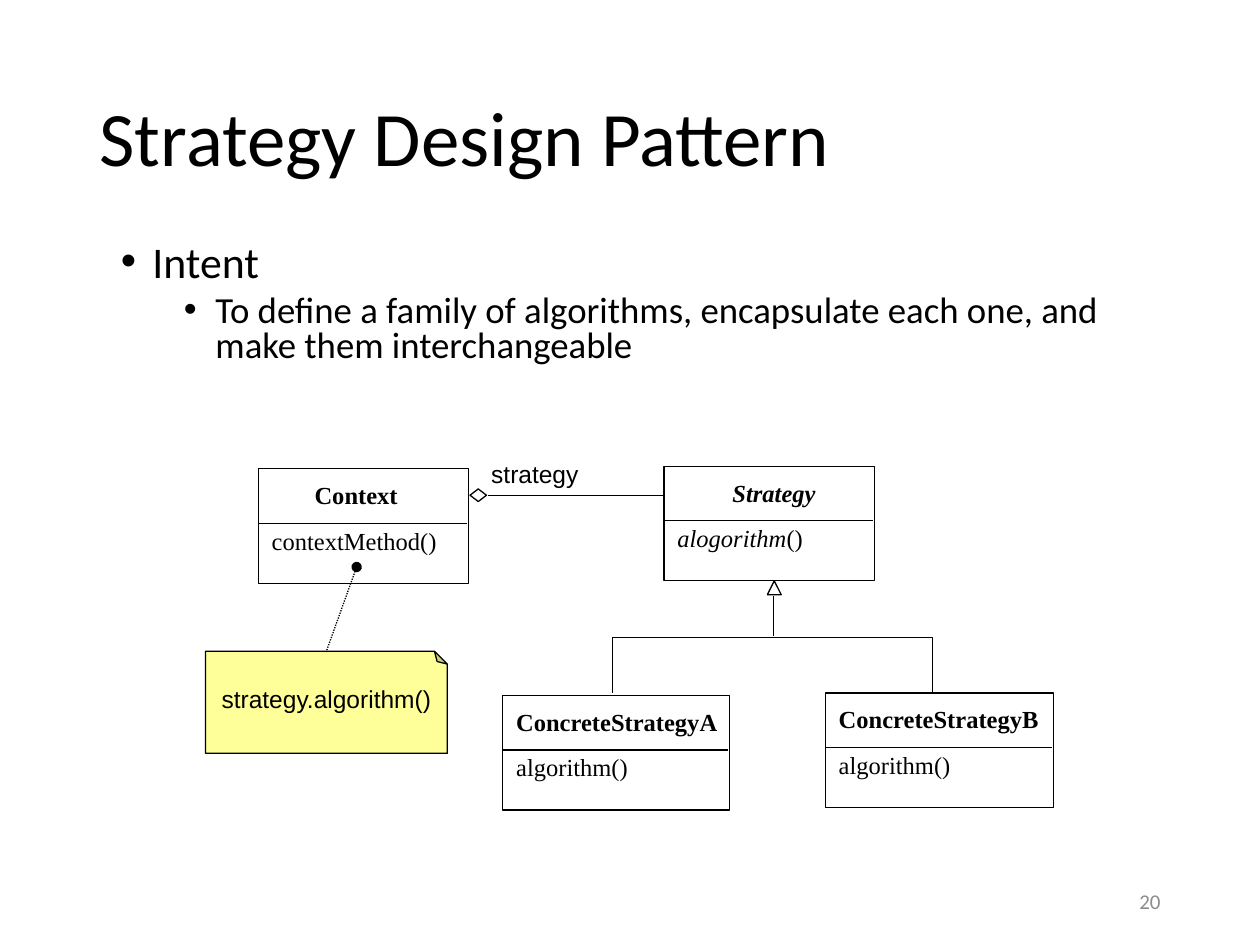
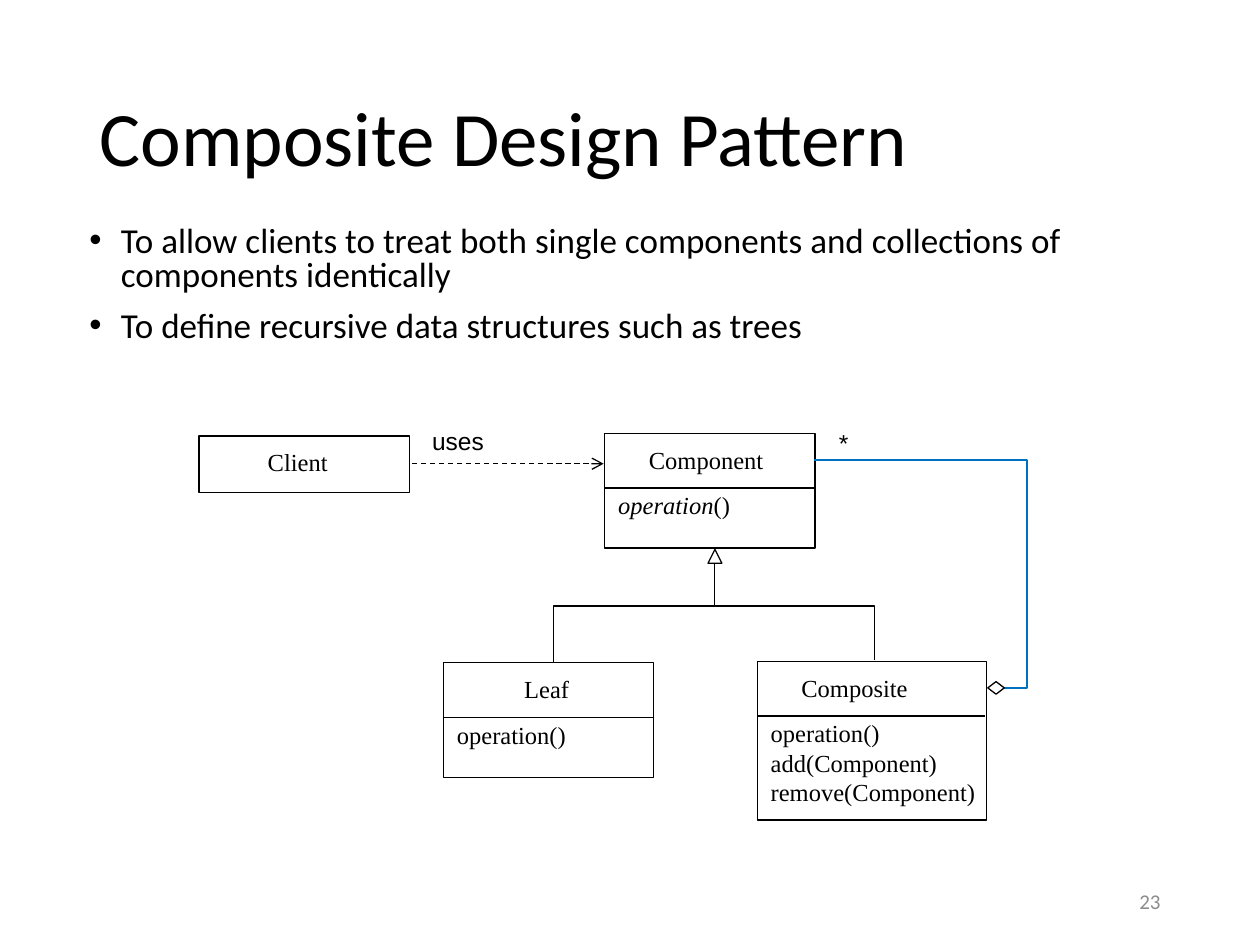
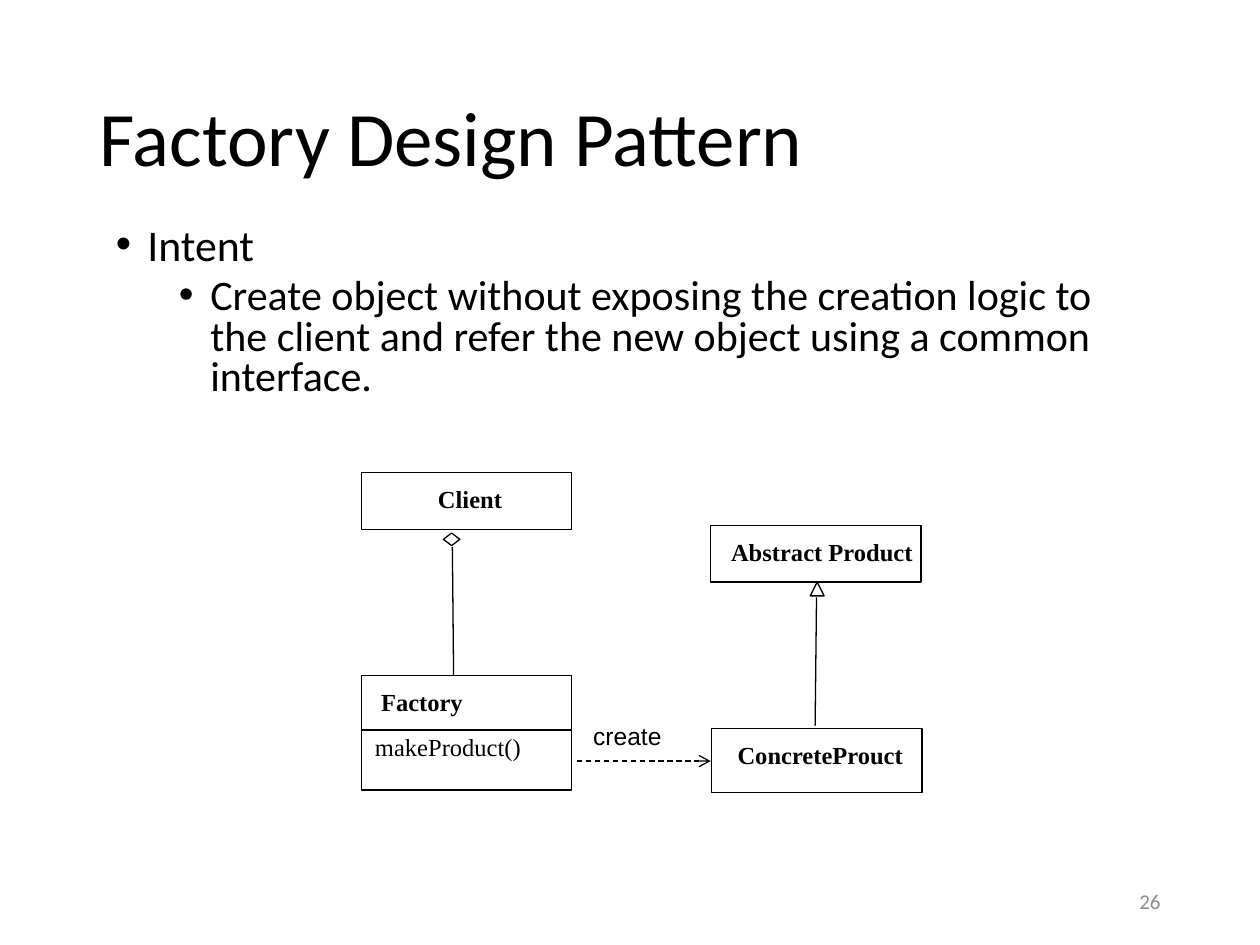
from lxml import etree
from pptx import Presentation
from pptx.dml.color import RGBColor
from pptx.enum.dml import MSO_LINE
from pptx.enum.shapes import MSO_CONNECTOR, MSO_SHAPE
from pptx.enum.text import MSO_ANCHOR, MSO_AUTO_SIZE, PP_ALIGN
from pptx.oxml.ns import qn
from pptx.util import Pt

STRAIGHT = MSO_CONNECTOR.STRAIGHT
RECTANGLE, NOTE = MSO_SHAPE.RECTANGLE, MSO_SHAPE.FOLDED_CORNER
MARKERS = {
    "diamond": (MSO_SHAPE.DIAMOND, 9.4, 7.2),
    "triangle": (MSO_SHAPE.ISOSCELES_TRIANGLE, 7.9, 7.9),
}
DASHES = {"dash": MSO_LINE.DASH, "dot": MSO_LINE.ROUND_DOT}
LEFT, RIGHT = PP_ALIGN.LEFT, PP_ALIGN.RIGHT
TOP, MIDDLE = MSO_ANCHOR.TOP, MSO_ANCHOR.MIDDLE

COLORS = {"ink": "000000", "note": "FFFF99", "link": "0070C0", "number": "8C8C8C"}
HEADING_FONT, CLASS_FONT, LABEL_FONT = "Calibri", "Times New Roman", "Arial"
TITLE_BOX = (49.7, 28.8, 620.6, 104.4)
NUMBER_BOX = (508.3, 500.4, 162, 28.8)
CLASS_WIDTH, CLASS_HEIGHT, NAME_HEIGHT = 120.2, 65.5, 31.2

# Content. Bullets: (level, size, text).
# Classes: left, top, name, name indent, name style (b, i), methods, then options.
# Lines: points, then options. Markers: kind, left, top. Labels: left, top, text.
SLIDES = [
    {
        "title": "Strategy Design Pattern",
        "number": "20",
        "body_box": (61.9, 136.1, 573.1, 85),
        "bullets": [
            (0, 25, "Intent"),
            (1, 21, "To define a family of algorithms, encapsulate each one, "
                    "and make them interchangeable"),
        ],
        "classes": [
            (147.6, 267.8, "Context", 24.5, "b", ["contextMethod()"], {}),
            (379.4, 266.4, "Strategy", 31.5, "bi", ["alogorithm()"], {"abstract": True}),
            (287.3, 397.4, "ConcreteStrategyA", 0, "b", ["algorithm()"], {"width": 129.6}),
            (471.6, 396, "ConcreteStrategyB", 0, "b", ["algorithm()"], {"width": 130.3}),
        ],
        "notes": [(117.4, 372.2, 138.2, 58.3)],
        "lines": [
            ([(278.6, 283), (378.7, 283)], {}),
            ([(442.1, 340.6), (442.1, 363.6)], {}),
            ([(349.9, 396), (349.9, 364.3), (532.8, 364.3), (532.8, 395.3)], {}),
            ([(203.8, 324), (186.5, 372.2)], {"dash": "dot", "head": "oval"}),
        ],
        "markers": [("diamond", 268.6, 279.4), ("triangle", 438.5, 331.9)],
        "labels": [(273.6, 258.5, "strategy"), (119.5, 387.4, "strategy.algorithm()")],
    },
    {
        "title": "Composite Design Pattern",
        "number": "23",
        "body_box": (43.9, 126, 648, 77.8),
        "bullets": [
            (0, 20, "To allow clients to treat both single components and "
                    "collections of components identically"),
            (0, 20, "To define recursive data structures such as trees"),
        ],
        "classes": [
            (113.8, 249.1, "Client", 31.5, "", [], {"height": 32.4}),
            (345.6, 247.7, "Component", 17.5, "", ["operation()"], {"abstract": True}),
            (253.4, 378.7, "Leaf", 38.5, "", ["operation()"], {}),
            (432.7, 378, "Composite", 17.5, "",
             ["operation()", "add(Component)", "remove(Component)"],
             {"width": 131, "height": 90.7}),
        ],
        "notes": [],
        "lines": [
            ([(235.4, 265), (344.9, 265)], {"dash": "dash", "tail": "arrow"}),
            ([(408.2, 321.8), (408.2, 345.6)], {}),
            ([(316.1, 378.7), (316.1, 346.3), (499.7, 346.3), (499.7, 377.3)], {}),
            ([(573.8, 393.1), (586.8, 393.1), (586.8, 262.8), (465.1, 262.8)],
             {"ink": "link"}),
        ],
        "markers": [("diamond", 564.5, 389.5), ("triangle", 404.6, 313.9)],
        "labels": [(239.8, 239.8, "uses"), (472.3, 241.2, "*")],
    },
    {
        "title": "Factory Design Pattern",
        "number": "26",
        "body_box": (59, 126.7, 573.8, 118.8),
        "bullets": [
            (0, 25, "Intent"),
            (1, 24, "Create object without exposing the creation logic to the client "
                    "and refer the new object using a common interface."),
        ],
        "classes": [
            (406.1, 300.2, "Abstract Product", 4, "b", [], {"height": 32.4}),
            (206.6, 385.9, "Factory", 3.5, "b", ["makeProduct()"], {}),
            (406.8, 416.2, "ConcreteProuct", 7, "b", [], {"height": 36.7}),
            (206.6, 270, "Client", 36, "b", [], {"height": 32.4}),
        ],
        "notes": [],
        "lines": [
            ([(329.8, 434.9), (406.1, 434.9)], {"dash": "dash", "tail": "arrow"}),
            ([(466.6, 341.3), (465.8, 414.7)], {}),
            ([(258.5, 312.5), (259.2, 385.9)], {}),
        ],
        "markers": [("triangle", 463, 332.6), ("diamond", 253.4, 304.6)],
        "labels": [(331.9, 408.2, "create")],
    },
]


def color(name):
    return RGBColor.from_string(COLORS[name])


def format_runs(paragraph, font, size, bold=False, italic=False, ink="ink"):
    for run in paragraph.runs:
        run.font.name, run.font.size = font, Pt(size)
        run.font.bold, run.font.italic = bold, italic
        run.font.color.rgb = color(ink)


def set_indent(paragraph, margin, first=0):
    properties = paragraph._p.get_or_add_pPr()
    properties.set("marL", str(Pt(margin)))
    properties.set("indent", str(Pt(first)))
    return properties


def place(shape, box):
    shape.left, shape.top, shape.width, shape.height = map(Pt, box)


def prepare_frame(shape, anchor):
    frame = shape.text_frame
    frame.word_wrap = True
    frame.auto_size = MSO_AUTO_SIZE.NONE
    frame.vertical_anchor = anchor
    return frame


def add_text_box(slide, box, anchor=TOP):
    return prepare_frame(slide.shapes.add_textbox(*map(Pt, box)), anchor)


def outline(shape, ink="ink"):
    shape.line.color.rgb = color(ink)
    shape.line.width = Pt(0.75)


def add_outlined_shape(slide, kind, box, fill=None):
    shape = slide.shapes.add_shape(kind, *map(Pt, box))
    shape.shadow.inherit = False
    if fill:
        shape.fill.solid()
        shape.fill.fore_color.rgb = color(fill)
    else:
        shape.fill.background()
    outline(shape)
    return shape


def add_line(slide, points, ink="ink", dash=None, head=None, tail=None):
    """Two points make a connector, more points an open outline."""
    points = [(Pt(x), Pt(y)) for x, y in points]
    if len(points) == 2:
        line = slide.shapes.add_connector(STRAIGHT, *points[0], *points[1])
        etree.SubElement(line._element.spPr, qn("a:effectLst"))
    else:
        builder = slide.shapes.build_freeform(*points[0])
        builder.add_line_segments(points[1:], close=False)
        line = builder.convert_to_shape()
        line.fill.background()
        line.shadow.inherit = False
    outline(line, ink)
    if dash:
        line.line.dash_style = DASHES[dash]
    for tag, end in (("a:headEnd", head), ("a:tailEnd", tail)):
        if end:
            etree.SubElement(line.get_or_add_ln(), qn(tag)).set("type", end)


def add_class(slide, left, top, name, indent, style, methods,
              width=CLASS_WIDTH, height=CLASS_HEIGHT, abstract=False):
    add_outlined_shape(slide, RECTANGLE, (left, top, width, height))
    frame = add_text_box(slide, (left + 0.6, top + 3, width, height - 3))
    frame.margin_right = 0
    heading = frame.paragraphs[0]
    heading.text = name
    set_indent(heading, indent)
    format_runs(heading, CLASS_FONT, 14, "b" in style, "i" in style)
    if methods:
        divider = top + NAME_HEIGHT
        add_line(slide, [(left, divider), (left + width - 0.7, divider)])
    for index, method in enumerate(methods):
        paragraph = frame.add_paragraph()
        paragraph.space_before = Pt(0 if index else 9.2)
        paragraph.text = method.removesuffix("()") if abstract else method
        if abstract:
            paragraph.add_run().text = "()"
        format_runs(paragraph, CLASS_FONT, 14)
        paragraph.runs[0].font.italic = abstract


def add_note(slide, box):
    note = add_outlined_shape(slide, NOTE, box, "note")
    properties = note._element.spPr
    properties.find(qn("a:xfrm")).set("flipV", "1")
    # Fold size: an eighth of the shorter side
    adjustments = properties.find(qn("a:prstGeom")).get_or_add_avLst()
    for guide in list(adjustments):
        adjustments.remove(guide)
    guide = etree.SubElement(adjustments, qn("a:gd"))
    guide.set("name", "adj")
    guide.set("fmla", "val 12500")


def add_label(slide, left, top, text):
    frame = add_text_box(slide, (left, top, 140, 24))
    frame.text = text
    format_runs(frame.paragraphs[0], LABEL_FONT, 14)


def fill_title(slide, text):
    title = slide.shapes.title
    place(title, TITLE_BOX)
    frame = prepare_frame(title, MIDDLE)
    frame.text = text
    paragraph = frame.paragraphs[0]
    paragraph.alignment, paragraph.line_spacing = LEFT, 0.9
    format_runs(paragraph, HEADING_FONT, 44)


def fill_body(slide, box, bullets):
    body = slide.placeholders[1]
    place(body, box)
    frame = prepare_frame(body, TOP)
    frame.text = "\n".join(text for _, _, text in bullets)
    for paragraph, (level, size, _) in zip(frame.paragraphs, bullets):
        paragraph.level = level
        paragraph.line_spacing = 0.8
        paragraph.space_before = Pt(5 if level else 10)
        properties = set_indent(paragraph, 18 + 36 * level, -18)
        etree.SubElement(properties, qn("a:buFont")).set("typeface", "Arial")
        etree.SubElement(properties, qn("a:buChar")).set("char", "•")
        format_runs(paragraph, HEADING_FONT, size)


def add_number(slide, number):
    frame = add_text_box(slide, NUMBER_BOX, MIDDLE)
    frame.text = number
    frame.paragraphs[0].alignment = RIGHT
    format_runs(frame.paragraphs[0], HEADING_FONT, 12, ink="number")


def build_slide(presentation, content):
    slide = presentation.slides.add_slide(presentation.slide_layouts[1])
    fill_title(slide, content["title"])
    fill_body(slide, content["body_box"], content["bullets"])
    # Diagram
    for *fields, options in content["classes"]:
        add_class(slide, *fields, **options)
    for points, options in content["lines"]:
        add_line(slide, points, **options)
    for kind, left, top in content["markers"]:
        shape_kind, width, height = MARKERS[kind]
        add_outlined_shape(slide, shape_kind, (left, top, width, height))
    for box in content["notes"]:
        add_note(slide, box)
    for label in content["labels"]:
        add_label(slide, *label)
    add_number(slide, content["number"])


def main():
    presentation = Presentation()
    presentation.slide_width, presentation.slide_height = Pt(720), Pt(540)
    for content in SLIDES:
        build_slide(presentation, content)
    presentation.save("out.pptx")


if __name__ == "__main__":
    main()
